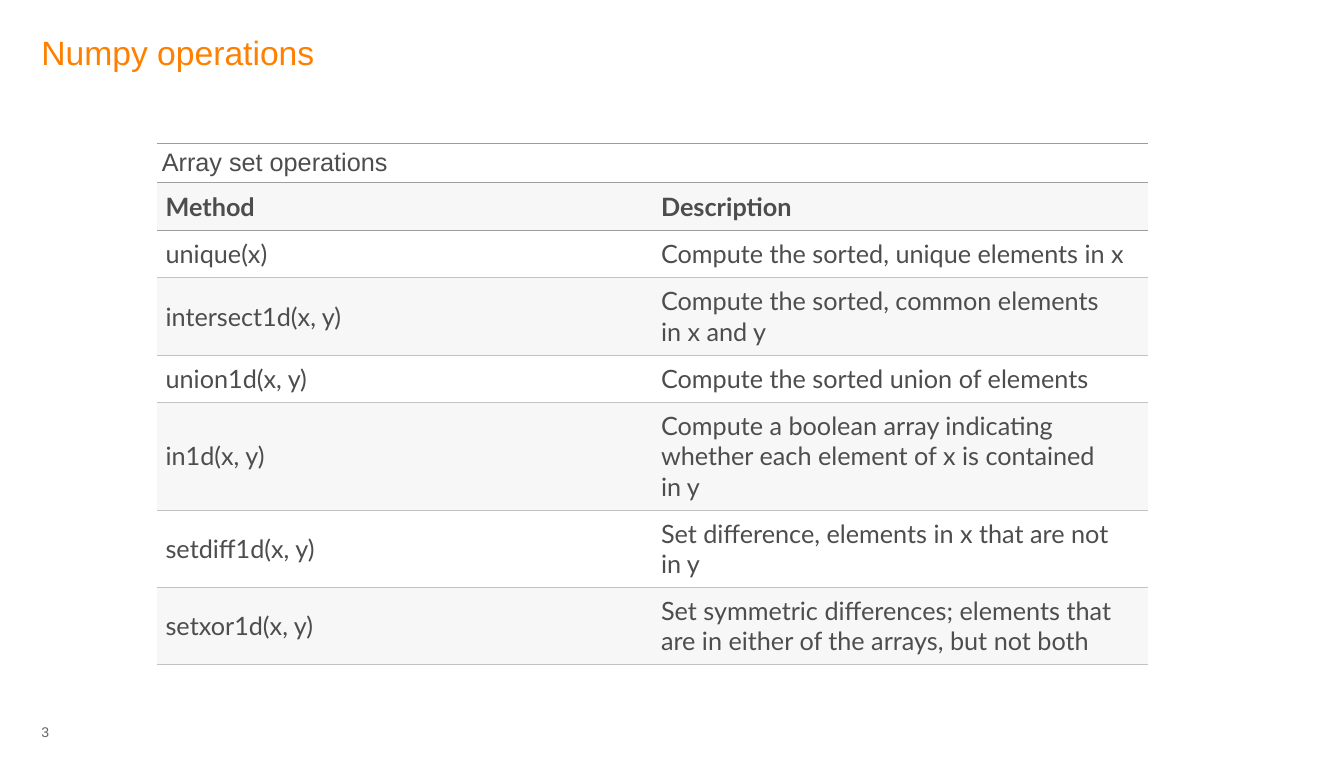
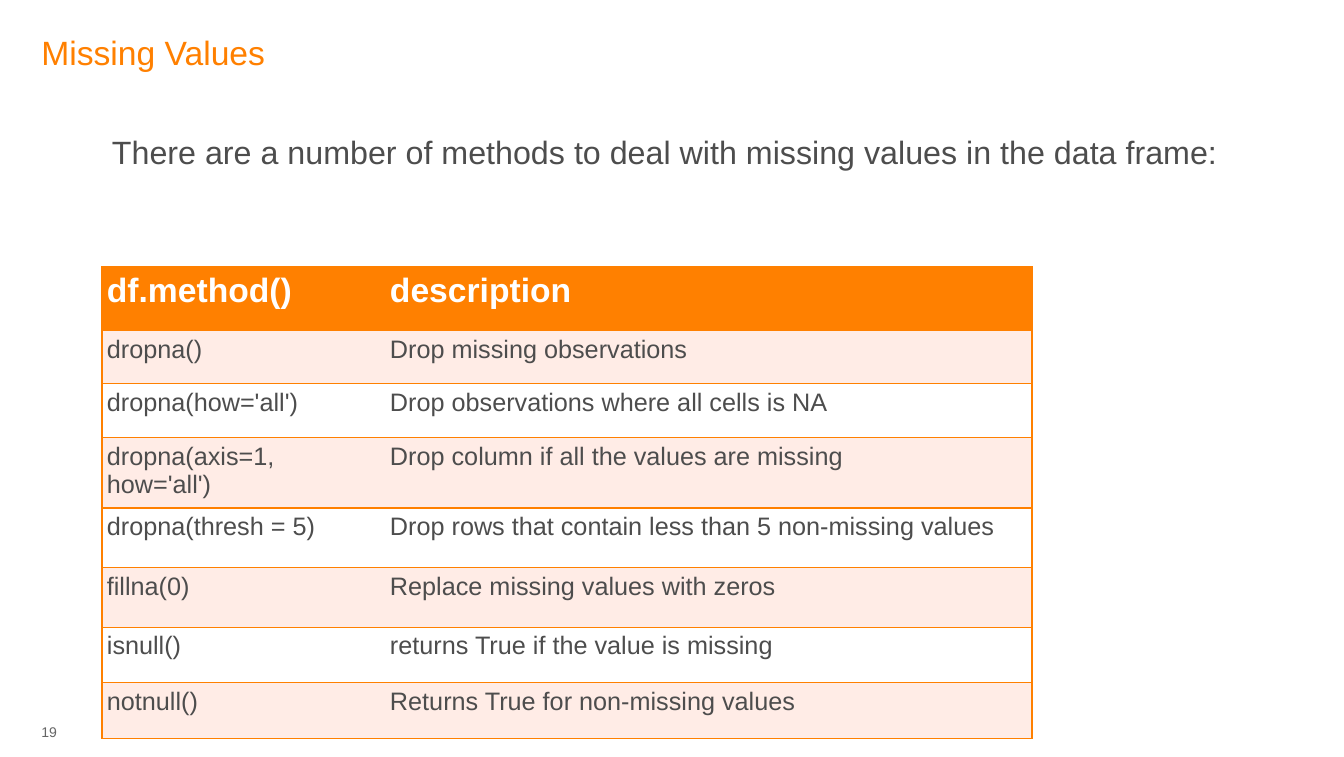
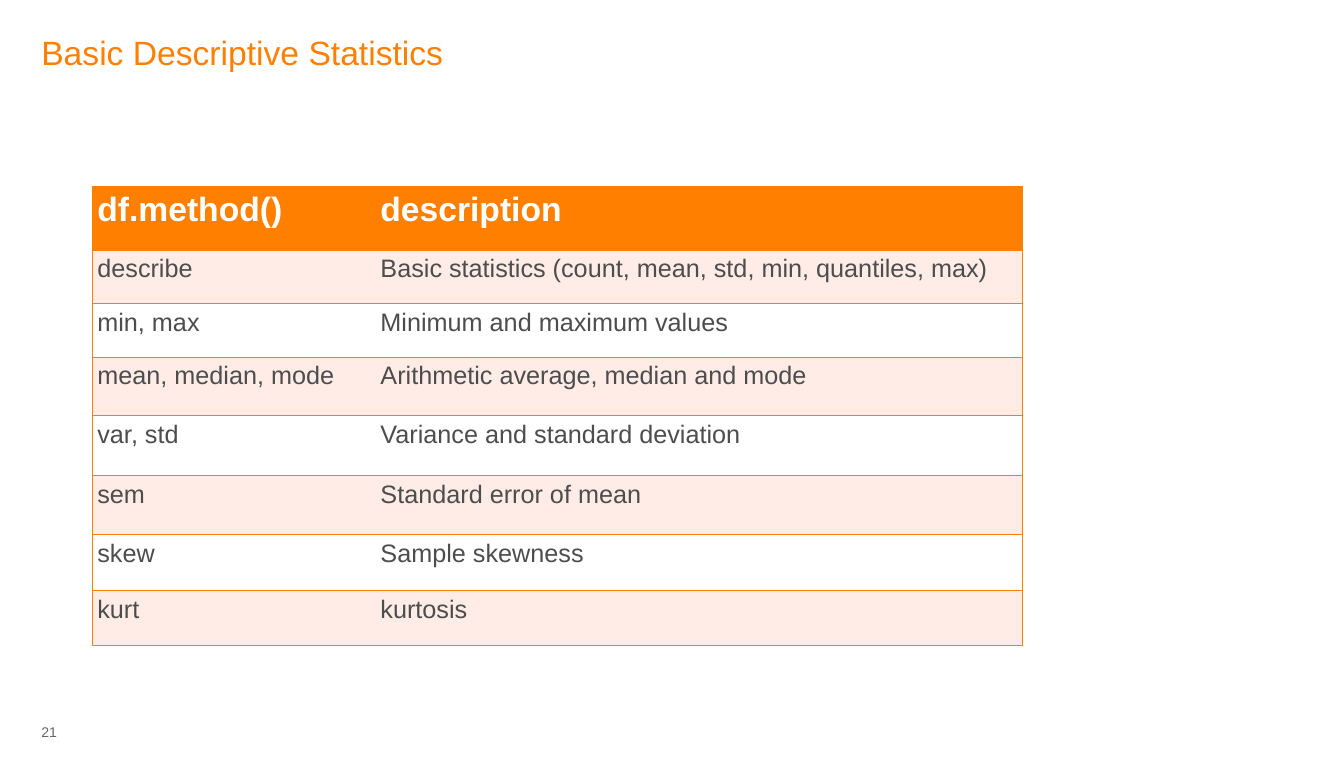
from lxml import etree
from pptx import Presentation
from pptx.dml.color import RGBColor
from pptx.enum import text
from pptx.oxml import ns
from pptx.util import Pt

# Shared look
rgb = RGBColor.from_string
ORANGE, INK, WHITE = "FF8000", "4D4D4D", "FFFFFF"
PINK, PALE, DARK, LIGHT = "FFECE6", "F7F7F7", "9D9D9D", "C3C3C3"
TITLE = dict(name="Arial", size=Pt(24), bold=False, color=ORANGE)
FOOT = dict(TITLE, size=Pt(10), color="666666")
INTRO = dict(TITLE, size=Pt(23), color=INK)
HEAD = dict(TITLE, bold=True, color=WHITE)
BODY = dict(INTRO, size=Pt(18))
CELL = dict(BODY, name="Lato")
LABEL = dict(CELL, bold=True)
TOP, MID = text.MSO_ANCHOR.TOP, text.MSO_ANCHOR.MIDDLE


def write(frame, words, form):
    run = frame.paragraphs[0].add_run()
    run.text = words
    for key, val in form.items():
        if key == "color":
            run.font.color.rgb = rgb(val)
        else:
            setattr(run.font, key, val)


def box(slide, area, words, form, pad=0, wrap=True):
    frame = slide.shapes.add_textbox(*map(Pt, area)).text_frame
    frame.word_wrap = wrap
    for side in ("left", "top", "right", "bottom"):
        setattr(frame, "margin_" + side, Pt(pad))
    write(frame, words, form)


# Table styles: forms and pads by row (the last one repeats), bands, rules
PLAIN = dict(forms=[BODY, LABEL, CELL], pads=[3.3, 6], bands=[WHITE, PALE],
             first=WHITE, cols=[353.5, 353.5], anchor=MID, width=0.6,
             rules=[DARK] * 3 + [LIGHT] * 6, side=None)
BOLD = dict(forms=[HEAD, BODY], pads=[3.5], bands=[WHITE, PINK],
            first=ORANGE, cols=[202, 461.6], anchor=TOP, width=1,
            rules=[ORANGE] * 9, side=ORANGE)

# Content; "~" stands for a non-breaking space
pages = [
    dict(title="Numpy operations", num="3", style=PLAIN, at=(112.2, 102.2),
         high=[27.2, 33.8, 33.8, 55, 33.8, 76.8, 55, 55],
         rows=[
             ("Array set operations",),
             ("Method", "Description"),
             ("unique(x)", "Compute~the sorted, unique elements in~x"),
             ("intersect1d(x, y)",
              "Compute the sorted,~common elements in~x~and~y"),
             ("union1d(x, y)", "Compute the sorted~union of elements"),
             ("in1d(x, y)", "Compute a~boolean array indicating whether "
              "each element of~x~is contained in~y"),
             ("setdiff1d(x, y)",
              "Set difference,~elements in~x~that are not in~y"),
             ("setxor1d(x, y)", "Set symmetric differences;~elements that "
              "are in either of the arrays,~but not both"),
         ]),
    dict(title="Missing Values", num="19", style=BOLD, at=(72.8, 190.3),
         high=[45.4, 38.2, 38.2, 50.4, 42.5, 42.5, 39.6, 39.6],
         intro="There are a number of methods to deal with missing values "
               "in the data frame:",
         rows=[
             ("df.method()", "description"),
             ("dropna()", "Drop missing observations"),
             ("dropna(how='all')", "Drop observations where all cells is NA"),
             ("dropna(axis=1, how='all')",
              "Drop column if all the values are missing"),
             ("dropna(thresh = 5)",
              "Drop rows that contain less than 5 non-missing values"),
             ("fillna(0)", "Replace missing values with zeros"),
             ("isnull()", "returns True if the value is missing"),
             ("notnull()", "Returns True for non-missing values"),
         ]),
    dict(title="Basic Descriptive Statistics", num="21", style=BOLD,
         at=(66, 133),
         high=[45.4, 38.2, 38.2, 41.8, 42.5, 42.5, 39.6, 39.6],
         rows=[
             ("df.method()", "description"),
             ("describe",
              "Basic statistics (count, mean, std, min, quantiles, max)"),
             ("min, max", "Minimum and maximum values"),
             ("mean, median, mode", "Arithmetic average, median and mode"),
             ("var, std", "Variance and standard deviation"),
             ("sem", "Standard error of mean"),
             ("skew", "Sample skewness"),
             ("kurt", "kurtosis"),
         ]),
]

deck = Presentation()
deck.slide_width, deck.slide_height = Pt(959), Pt(540)

for page in pages:
    # Title, page number and lead line
    slide = deck.slides.add_slide(deck.slide_layouts[6])
    box(slide, (29.5, 23, 810.7, 33.8), page["title"], TITLE)
    box(slide, (29.5, 516.2, 12, 11), page["num"], FOOT, wrap=False)
    if "intro" in page:
        box(slide, (76.3, 90.7, 813, 33), page["intro"], INTRO, pad=3.6)

    # Table grid
    style, rows, high = page["style"], page["rows"], page["high"]
    cols = style["cols"]
    area = (*page["at"], sum(cols), sum(high))
    table = slide.shapes.add_table(
        len(rows), len(cols), *map(Pt, area)).table
    table.first_row = table.horz_banding = False
    for col, wide in zip(table.columns, cols):
        col.width = Pt(wide)
    for row, tall in zip(table.rows, high):
        row.height = Pt(tall)

    # Cells
    for r, words in enumerate(rows):
        form = style["forms"][min(r, len(style["forms"]) - 1)]
        pad = style["pads"][min(r, len(style["pads"]) - 1)]
        fill = style["bands"][r % 2] if r else style["first"]
        for c in range(len(cols)):
            cell = table.cell(r, c)
            cell.vertical_anchor = style["anchor"]
            for side in ("left", "top", "right", "bottom"):
                setattr(cell, "margin_" + side, Pt(pad))
            if c < len(words):
                write(cell.text_frame, words[c].replace("~", chr(160)), form)
            # Borders go ahead of the fill
            edges = dict(L=None if c else style["side"],
                         R=style["side"] if c == len(cols) - 1 else None,
                         T=style["rules"][r], B=style["rules"][r + 1])
            props = cell._tc.get_or_add_tcPr()
            for side, hue in edges.items():
                line = etree.SubElement(props, ns.qn("a:ln" + side),
                                        w=str(Pt(style["width"])))
                if hue:
                    solid = etree.SubElement(line, ns.qn("a:solidFill"))
                    etree.SubElement(solid, ns.qn("a:srgbClr"), val=hue)
                else:
                    etree.SubElement(line, ns.qn("a:noFill"))
            cell.fill.solid()
            cell.fill.fore_color.rgb = rgb(fill)
        if len(words) < len(cols):
            table.cell(r, 0).merge(table.cell(r, len(cols) - 1))

deck.save("out.pptx")
